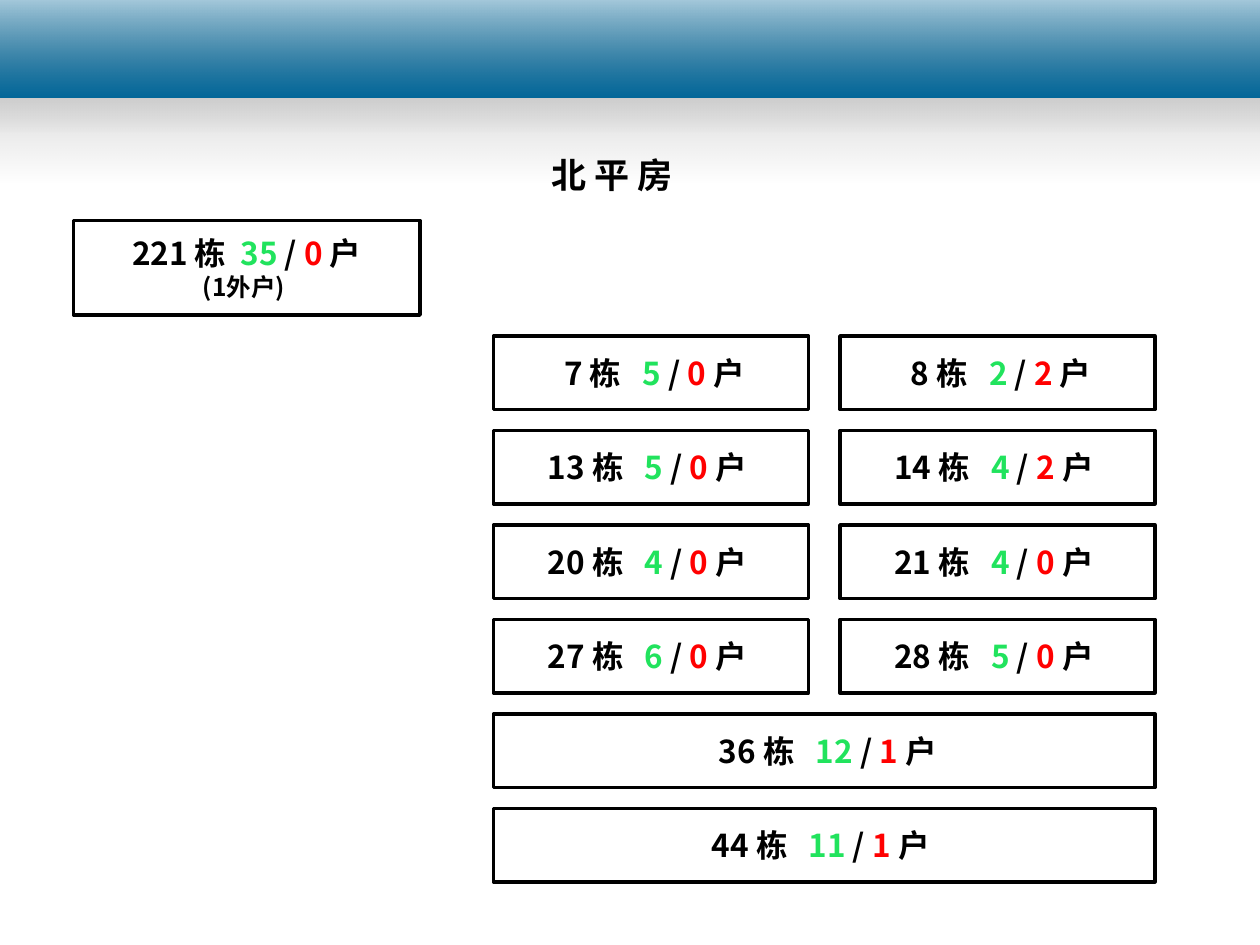
import pptx
import pptx.dml.color
import pptx.enum.shapes
import pptx.enum.text
import pptx.oxml
import pptx.oxml.ns
import pptx.util
from lxml import etree

PX = 9525  # EMU in one px, 96 px to the inch
FONT = "Noto Sans CJK SC"
COLORS = {
    "black": "000000", "white": "FFFFFF", "green": "21E35D", "red": "FF0000",
    "blue": "006699", "deep_blue": "006597", "gray": "B6B6B6",
}
SPACE = 4  # points, width of one space at 18 pt


def color(name):
    return pptx.dml.color.RGBColor.from_string(COLORS[name])


class Board:
    """Style and current slide of the housing overview."""

    def __init__(self, slide):
        self.slide = slide

    def rectangle(self, left, top, width, height):
        shape = self.slide.shapes.add_shape(
            pptx.enum.shapes.MSO_SHAPE.RECTANGLE,
            left * PX, top * PX, width * PX, height * PX)
        shape.shadow.inherit = False
        return shape

    def band(self, height, stops):
        """Full-width vertical gradient; stops are (color, opacity percent)."""
        shape = self.rectangle(0, 0, 960, height)
        shape.line.fill.background()
        shape.fill.gradient()
        shape.fill.gradient_angle = 270
        for stop, (name, _) in zip(shape.fill.gradient_stops, stops):
            stop.color.rgb = color(name)
        tag = pptx.oxml.ns.qn("a:srgbClr")
        for node, (_, opacity) in zip(shape.element.spPr.iter(tag), stops):
            alpha = etree.SubElement(node, pptx.oxml.ns.qn("a:alpha"))
            alpha.set("val", str(opacity * 1000))

    def style(self, paragraph, size):
        paragraph.alignment = pptx.enum.text.PP_ALIGN.CENTER
        paragraph.font.size = pptx.util.Pt(size)
        paragraph.font.bold = True
        paragraph.font.name = FONT

    def run(self, paragraph, text, name, spacing=0):
        run = paragraph.add_run()
        run.text = text
        run.font.color.rgb = color(name)
        properties = run.font._element
        east_asian = etree.SubElement(properties, pptx.oxml.ns.qn("a:ea"))
        east_asian.set("typeface", FONT)
        if spacing:
            properties.set("spc", str(spacing * 100))

    def title(self, text, left, top, width, height):
        box = self.slide.shapes.add_textbox(
            left * PX, top * PX, width * PX, height * PX)
        box.text_frame.word_wrap = False
        paragraph = box.text_frame.paragraphs[0]
        self.style(paragraph, 20)
        self.run(paragraph, text, "black")

    def building(self, place, number, occupied, vacant,
                 gap=2 * SPACE, indent=0, note=None):
        shape = self.rectangle(*place)
        shape.fill.solid()
        shape.fill.fore_color.rgb = color("white")
        shape.line.color.rgb = color("black")
        shape.line.width = pptx.util.Pt(2)
        frame = shape.text_frame
        frame.word_wrap = True
        frame.vertical_anchor = pptx.enum.text.MSO_ANCHOR.MIDDLE
        frame.margin_left += pptx.util.Pt(indent)
        paragraph = frame.paragraphs[0]
        self.style(paragraph, 18)
        self.run(paragraph, f"{number} 栋", "black")
        self.run(paragraph, " ", "black", gap)
        self.run(paragraph, f"{occupied} ", "green")
        self.run(paragraph, "/ ", "black")
        self.run(paragraph, f"{vacant} ", "red")
        self.run(paragraph, "户" if note else "户 ", "black")
        if note:
            paragraph = frame.add_paragraph()
            self.style(paragraph, 14)
            self.run(paragraph, note, "black")


def main():
    presentation = pptx.Presentation()
    presentation.slide_width = 960 * PX
    presentation.slide_height = 720 * PX
    board = Board(presentation.slides.add_slide(presentation.slide_layouts[6]))

    # Header with its soft shadow below
    for height, opacity in ((101, 80), (101, 80), (139, 100)):
        board.band(height, [("gray", opacity), ("gray", 0)])
    board.band(75, [("blue", 100), ("deep_blue", 100)])
    board.band(75, [("white", 65), ("gray", 0)])

    board.title("北 平 房", 408, 112, 116, 42)

    # Single building on the left
    board.building((56, 168, 264, 72), 221, 35, 0, gap=SPACE, note="(1外户) ")

    # Rows of buildings: (number, occupied, vacant)
    rows = [
        [(7, 5, 0), (8, 2, 2)],
        [(13, 5, 0), (14, 4, 2)],
        [(20, 4, 0), (21, 4, 0)],
        [(27, 6, 0), (28, 5, 0)],
        [(36, 12, 1)],
        [(44, 11, 1)],
    ]
    left, top, pitch_x, pitch_y, height = 376, 256, 264, 72, 56
    indented = {7, 8, 36}
    for row, buildings in enumerate(rows):
        width = 240 if len(buildings) == 2 else 504
        for column, building in enumerate(buildings):
            place = (left + column * pitch_x, top + row * pitch_y, width, height)
            indent = 2 * SPACE if building[0] in indented else 0
            board.building(place, *building, indent=indent)

    presentation.save("out.pptx")


if __name__ == "__main__":
    main()
